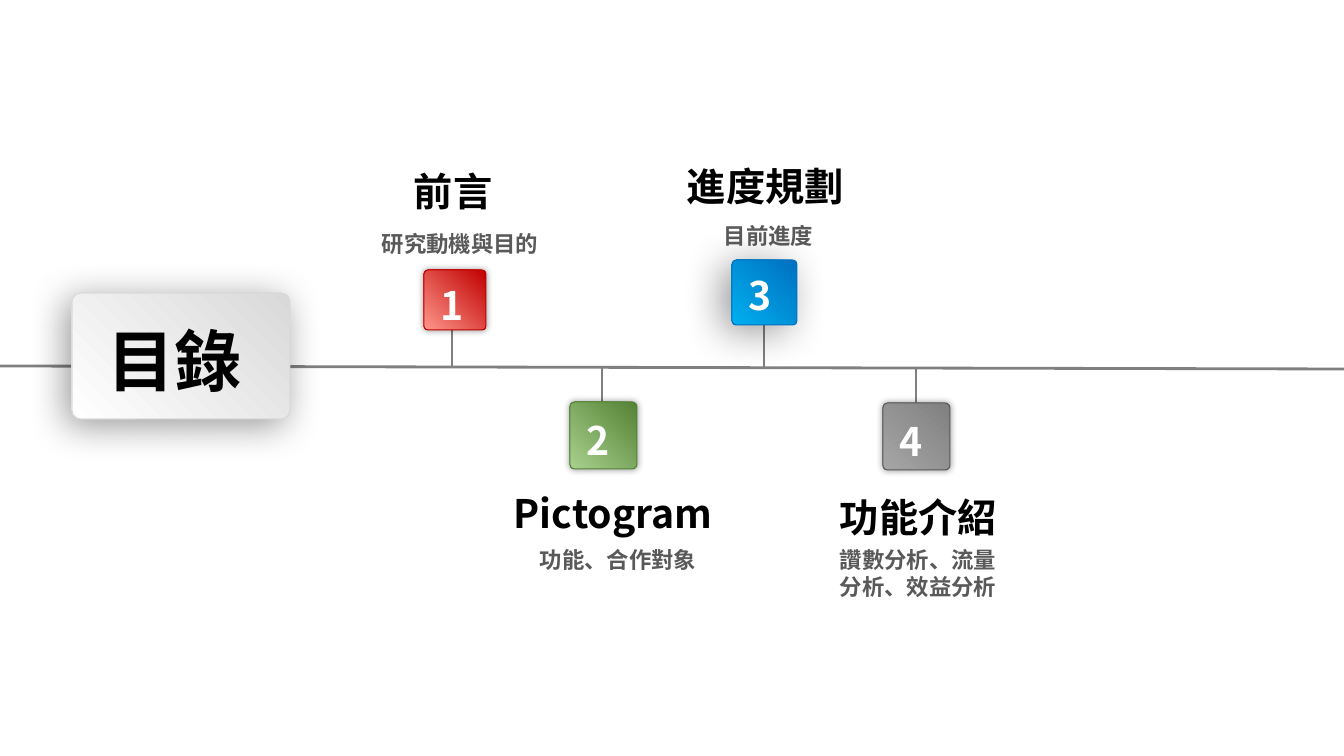
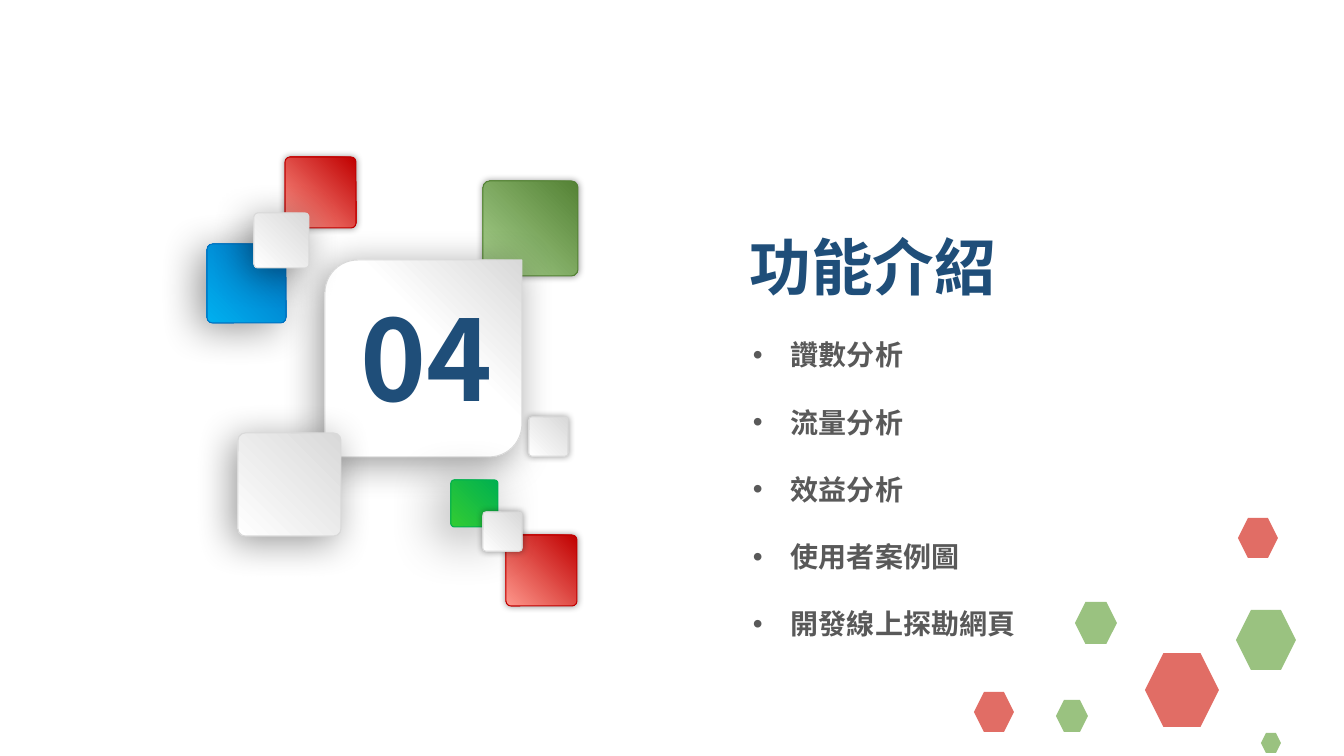
from lxml.etree import SubElement
from pptx import Presentation
from pptx.dml.color import RGBColor
from pptx.enum.shapes import MSO_CONNECTOR, MSO_SHAPE
from pptx.enum.text import MSO_AUTO_SIZE, PP_ALIGN
from pptx.oxml.ns import qn
from pptx.util import Pt

PAGE_WIDTH, PAGE_HEIGHT = 1344, 756
SCALE = 12192000 / PAGE_WIDTH
FONT = "Noto Sans CJK SC"
BLACK, WHITE, GRAY, NAVY, LINE = "000000", "FFFFFF", "595959", "1F4E79", "808080"
CORAL, SAGE = "E16D65", "9AC280"

SOFT, DEEP, FAR, LONG = (5, 0, 0), (27, 6, 135), (29, 8, 150), (40, 9, 135)
STYLES = {
    "red": ("C00000", "FE978C", "C00000", SOFT),
    "green": ("548235", "A9D18E", "548235", SOFT),
    "blue": ("0070C0", "00B0F0", "0070C0", FAR),
    "gray": ("808080", "A6A6A6", "595959", SOFT),
    "lime": ("00B050", "33CC33", "00B050", LONG),
    "white": ("D9D9D9", "FFFFFF", "D9D9D9", DEEP),
    "pale": ("D9D9D9", "FFFFFF", "D9D9D9", SOFT),
}

TITLE = {"size": 28, "color": BLACK}
NOTE = {"size": 16, "color": GRAY}
NUMBER = {"size": 28, "color": WHITE}

MILESTONES = [
    {"tile": (424, 270, 62, 60), "style": "red", "stem": 28,
     "title": ("前言", -20, -108, 130), "note": ("研究動機與目的", -52, -45, 216)},
    {"tile": (570, 402, 67, 67), "style": "green", "stem": 32,
     "title": ("Pictogram", -66, 82, 253), "note": ("功能、合作對象", -40, 139, 196)},
    {"tile": (732, 260, 65, 65), "style": "blue", "stem": 32,
     "title": ("進度規劃", -55, -103, 184), "note": ("目前進度", -18, -43, 136)},
    {"tile": (883, 403, 67, 67), "style": "gray", "stem": 33,
     "title": ("功能介紹", -53, 85, 193),
     "note": ("讚數分析、流量分析、效益分析", -53, 138, 188)},
]
TILES_BEHIND = [
    ("red", 299, 378, 71), ("green", 276, 24, 95), ("blue", 0, 87, 79), ("red", 78, 0, 71),
]
TILES_IN_FRONT = [
    ("white", 47, 56, 55), ("pale", 322, 260, 39), ("lime", 244, 323, 47),
    ("white", 31, 276, 103), ("pale", 276, 355, 39),
]
HEXAGONS = [
    (CORAL, 171, 135, 74), (CORAL, 264, 0, 40), (SAGE, 82, 182, 32), (SAGE, 101, 84, 42),
    (SAGE, 262, 92, 60), (CORAL, 0, 174, 40), (SAGE, 287, 215, 20),
]
FEATURES = ["讚數分析", "流量分析", "效益分析", "使用者案例圖", "開發線上探勘網頁"]


def px(*lengths):
    """Turn px lengths into EMU."""
    return [round(length * SCALE) for length in lengths]


def rgb(color):
    """Return the colour of a hex string."""
    return RGBColor.from_string(color)


def add_text(slide, box, lines, size, color, align=PP_ALIGN.LEFT, wrap=True):
    """Add a text box with one bold paragraph per line and return its paragraphs."""
    frame = slide.shapes.add_textbox(*px(*box)).text_frame
    frame.word_wrap = wrap
    frame.auto_size = MSO_AUTO_SIZE.SHAPE_TO_FIT_TEXT
    frame.text = "\n".join(lines)
    for para in frame.paragraphs:
        para.alignment = align
        for span in para.runs:
            for name, value in {"name": FONT, "size": Pt(size), "bold": True}.items():
                setattr(span.font, name, value)
            span.font.color.rgb = rgb(color)
            SubElement(span.font._element, qn("a:ea"), typeface=FONT)
    return frame.paragraphs


def add_shadow(shape, blur, distance, angle):
    """Give a shape an outer shadow measured in points and degrees."""
    shape.shadow.inherit = False
    effects = shape._element.spPr.find(qn("a:effectLst"))
    shadow = SubElement(effects, qn("a:outerShdw"), blurRad=str(Pt(blur)), dist=str(Pt(distance)),
                        dir=str(angle * 60000), algn="ctr", rotWithShape="0")
    SubElement(SubElement(shadow, qn("a:srgbClr"), val=BLACK), qn("a:alpha"), val="40000")


def add_tile(slide, box, style, kind=MSO_SHAPE.ROUNDED_RECTANGLE, end=1.0):
    """Add a shaded tile with a thin edge and a shadow."""
    dark, light, edge, shadow = STYLES[style]
    tile = slide.shapes.add_shape(kind, *px(*box))
    if kind == MSO_SHAPE.ROUNDED_RECTANGLE:
        tile.adjustments[0] = 0.07
    tile.fill.gradient()
    tile.fill.gradient_angle = 225
    for stop, color, position in zip(tile.fill.gradient_stops, (dark, light), (0, end)):
        stop.color.rgb = rgb(color)
        stop.position = position
    tile.line.color.rgb = rgb(edge)
    tile.line.width = Pt(0.75)
    add_shadow(tile, *shadow)


def add_line(slide, *ends):
    """Add a straight gray line."""
    line = slide.shapes.add_connector(MSO_CONNECTOR.STRAIGHT, *px(*ends))
    line.line.color.rgb = rgb(LINE)
    line.line.width = Pt(2)
    SubElement(line._element.spPr, qn("a:effectLst"))


def add_milestone(slide, number, milestone, axis):
    """Add a numbered tile with its stem to the axis, title and note."""
    left, top, width, height = milestone["tile"]
    above = top < axis
    stem = left + milestone["stem"]
    add_line(slide, stem, axis, stem, axis + (-48 if above else 48))
    add_tile(slide, milestone["tile"], milestone["style"])
    for part, height, look in (("title", 57, TITLE), ("note", 37, NOTE)):
        text, across, down, width = milestone[part]
        add_text(slide, (left + across, top + down, width, height), [text], **look)
    add_text(slide, (left + 7, top + (6 if above else 9), 44, 57), [str(number)],
             wrap=False, **NUMBER)


def add_sign(slide, left, top):
    """Add the white heading panel of the contents page."""
    add_tile(slide, (left, top, 218, 126), "white")
    add_text(slide, (left + 11, top + 21, 183, 92), ["目錄"], 48, BLACK, PP_ALIGN.CENTER)


def add_number_cluster(slide, left, top, number):
    """Add the section number on its panel among tiles."""
    def place_tiles(tiles):
        """Place square tiles within the cluster."""
        for style, across, down, side in tiles:
            add_tile(slide, (left + across, top + down, side, side), style)

    place_tiles(TILES_BEHIND)
    add_tile(slide, (left + 118, top + 103, 197, 197), "white",
             MSO_SHAPE.ROUND_2_DIAG_RECTANGLE, 0.42)
    place_tiles(TILES_IN_FRONT)
    add_text(slide, (left + 144, top + 128, 160, 146), [number], 80, NAVY, wrap=False)


def add_features(slide, left, top):
    """Add the section title and its bulleted list."""
    add_text(slide, (left, top, 354, 85), ["功能介紹"], 44, NAVY, PP_ALIGN.CENTER)
    box = (left + 47, top + 109, 328, 316)
    indent = px(38)[0]
    for para in add_text(slide, box, FEATURES, 20, GRAY):
        para.space_after = Pt(24)
        properties = para._p.get_or_add_pPr()
        properties.set("marL", str(indent))
        properties.set("indent", str(-indent))
        SubElement(properties, qn("a:buFont"), typeface="Arial")
        SubElement(properties, qn("a:buChar"), char="•")


def add_hexagons(slide, left, top):
    """Scatter the corner hexagons."""
    for color, across, down, side in HEXAGONS:
        hexagon = slide.shapes.add_shape(
            MSO_SHAPE.HEXAGON, *px(left + across, top + down, side, side))
        hexagon.shadow.inherit = False
        hexagon.fill.solid()
        hexagon.fill.fore_color.rgb = rgb(color)
        hexagon.line.fill.background()


def build_contents(slide):
    """Build the contents timeline."""
    add_line(slide, 0, 366, PAGE_WIDTH, 369)
    add_sign(slide, 72, 293)
    for number, milestone in enumerate(MILESTONES, 1):
        add_milestone(slide, number, milestone, 367)


def build_section(slide):
    """Build the section opener."""
    add_features(slide, 696, 224)
    add_number_cluster(slide, 207, 157, "04")
    add_hexagons(slide, 974, 518)


def main():
    """Build and save the deck."""
    deck = Presentation()
    deck.slide_width, deck.slide_height = px(PAGE_WIDTH, PAGE_HEIGHT)
    for build in (build_contents, build_section):
        build(deck.slides.add_slide(deck.slide_layouts[6]))
    deck.save("out.pptx")


if __name__ == "__main__":
    main()
